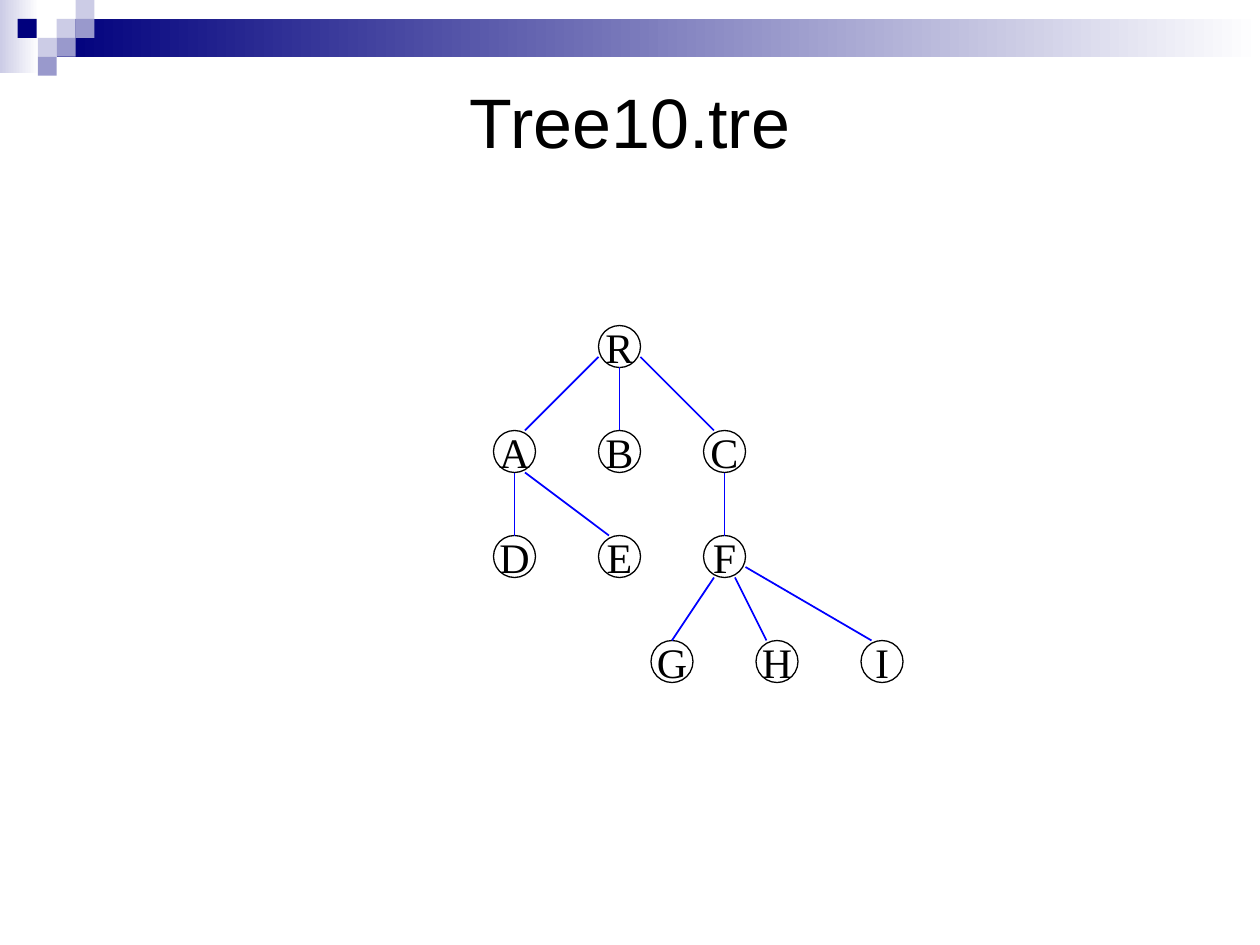
"""Build a slide that shows the tree stored in Tree10.tre."""
from typing import NamedTuple

from lxml.etree import SubElement
from pptx import Presentation
from pptx.dml.color import RGBColor
from pptx.enum.shapes import MSO_CONNECTOR as Connector, MSO_SHAPE as Shape
from pptx.enum.text import MSO_ANCHOR as Anchor, PP_ALIGN as Align
from pptx.oxml.ns import qn
from pptx.shapes.autoshape import Shape as AutoShape
from pptx.shapes.shapetree import GroupShapes
from pptx.text.text import TextFrame
from pptx.util import Inches, Pt

BLACK, WHITE, BLUE = "000000", "FFFFFF", "0000FF"
NAVY, LAVENDER, PERIWINKLE = "00007D", "CCCCE6", "9999CC"
UNIT = 1 / 12
NODE_SIZE = 4
LEVEL_TOPS = (31, 41, 51, 61)
SQUARE = 0.15


class Band(NamedTuple):
    left: float
    top: float
    width: float
    height: float
    color: str
    end_color: str = ""


class Node(NamedTuple):
    label: str
    left: int
    level: int


class Edge(NamedTuple):
    parent: str
    child: str
    start_x: int
    start_y: int
    end_x: int


BANDS = (
    Band(0, 0, 0.31, 0.58, LAVENDER, WHITE),
    Band(0.45, 0.15, 9.55, 0.3, NAVY, WHITE),
    Band(0.45, 0.15, SQUARE, SQUARE, LAVENDER),
    Band(0.6, 0, SQUARE, SQUARE, LAVENDER),
    Band(0.6, 0.15, SQUARE, SQUARE, PERIWINKLE),
    Band(0.3, 0.3, SQUARE, SQUARE, LAVENDER),
    Band(0.14, 0.15, SQUARE, SQUARE, NAVY),
    Band(0.45, 0.3, SQUARE, SQUARE, PERIWINKLE),
    Band(0.3, 0.45, SQUARE, SQUARE, PERIWINKLE),
)
NODES = (
    Node("R", 57, 0),
    Node("A", 47, 1), Node("B", 57, 1), Node("C", 67, 1),
    Node("D", 47, 2), Node("E", 57, 2), Node("F", 67, 2),
    Node("G", 62, 3), Node("H", 72, 3), Node("I", 82, 3),
)
EDGES = (
    Edge("R", "A", 0, 3, 3), Edge("R", "B", 2, 4, 2), Edge("R", "C", 4, 3, 1),
    Edge("A", "D", 2, 4, 2), Edge("A", "E", 3, 4, 1), Edge("C", "F", 2, 4, 2),
    Edge("F", "G", 1, 4, 2), Edge("F", "H", 3, 4, 1), Edge("F", "I", 4, 3, 1),
)


def rgb(color: str) -> RGBColor:
    """Turn a hex string into a colour."""
    return RGBColor.from_string(color)


def grid(units: float) -> Inches:
    """Turn tree grid units into a length."""
    return Inches(units * UNIT)


def write(frame: TextFrame, text: str, font: str, size: int) -> None:
    """Write one centred black line in a text frame."""
    frame.vertical_anchor = Anchor.MIDDLE
    para = frame.paragraphs[0]
    para.alignment = Align.CENTER
    span = para.add_run()
    span.text = text
    span.font.name = font
    span.font.size = Pt(size)
    span.font.color.rgb = rgb(BLACK)


def fill_solid(shape: AutoShape, color: str) -> None:
    """Give a shape a plain fill."""
    shape.fill.solid()
    shape.fill.fore_color.rgb = rgb(color)


def draw_band(shapes: GroupShapes, band: Band) -> None:
    """Draw one rectangle of the header decoration."""
    box = shapes.add_shape(Shape.RECTANGLE, Inches(band.left), Inches(band.top),
                           Inches(band.width), Inches(band.height))
    box.shadow.inherit = False
    box.line.fill.background()
    if band.end_color:
        box.fill.gradient()
        box.fill.gradient_angle = 0
        for stop, color in zip(box.fill.gradient_stops, (band.color, band.end_color)):
            stop.color.rgb = rgb(color)
    else:
        fill_solid(box, band.color)


def draw_node(shapes: GroupShapes, node: Node) -> None:
    """Draw one labelled circle of the tree."""
    circle = shapes.add_shape(Shape.OVAL, grid(node.left), grid(LEVEL_TOPS[node.level]),
                              grid(NODE_SIZE), grid(NODE_SIZE))
    circle.shadow.inherit = False
    fill_solid(circle, WHITE)
    circle.line.color.rgb = rgb(BLACK)
    circle.line.width = Pt(0.75)
    circle.text_frame.word_wrap = False
    write(circle.text_frame, node.label, "Times New Roman", 24)


def draw_edge(shapes: GroupShapes, edge: Edge, nodes: dict[str, Node]) -> None:
    """Draw the line from a parent to the top of its child."""
    parent, child = nodes[edge.parent], nodes[edge.child]
    line = shapes.add_connector(
        Connector.STRAIGHT,
        grid(parent.left + edge.start_x), grid(LEVEL_TOPS[parent.level] + edge.start_y),
        grid(child.left + edge.end_x), grid(LEVEL_TOPS[child.level]))
    line.line.color.rgb = rgb(BLUE)
    line.line.width = Pt(1)
    SubElement(line.element.spPr, qn("a:effectLst"))


def main() -> None:
    """Build and save the deck."""
    deck = Presentation()
    deck.slide_width, deck.slide_height = Inches(10), Inches(7.5)
    page = deck.slides.add_slide(deck.slide_layouts[5])

    title = page.shapes.title
    title.left, title.top = Inches(0.5), Inches(0.5)
    title.width, title.height = Inches(9), Inches(0.92)
    write(title.text_frame, "Tree10.tre", "Arial", 40)

    header = page.shapes.add_group_shape().shapes
    for band in BANDS:
        draw_band(header, band)

    tree = page.shapes.add_group_shape().shapes
    for node in NODES:
        draw_node(tree, node)
    nodes = {node.label: node for node in NODES}
    for edge in EDGES:
        draw_edge(tree, edge, nodes)

    deck.save("out.pptx")


if __name__ == "__main__":
    main()
